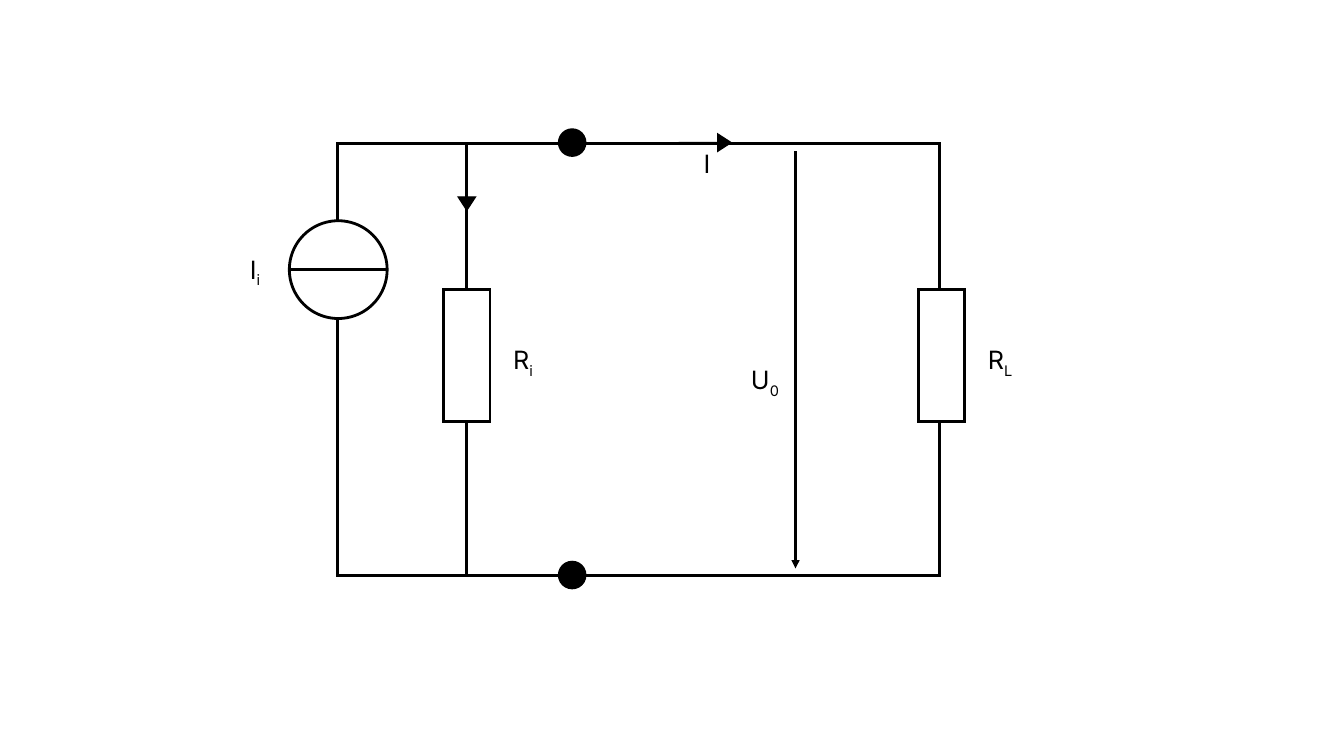
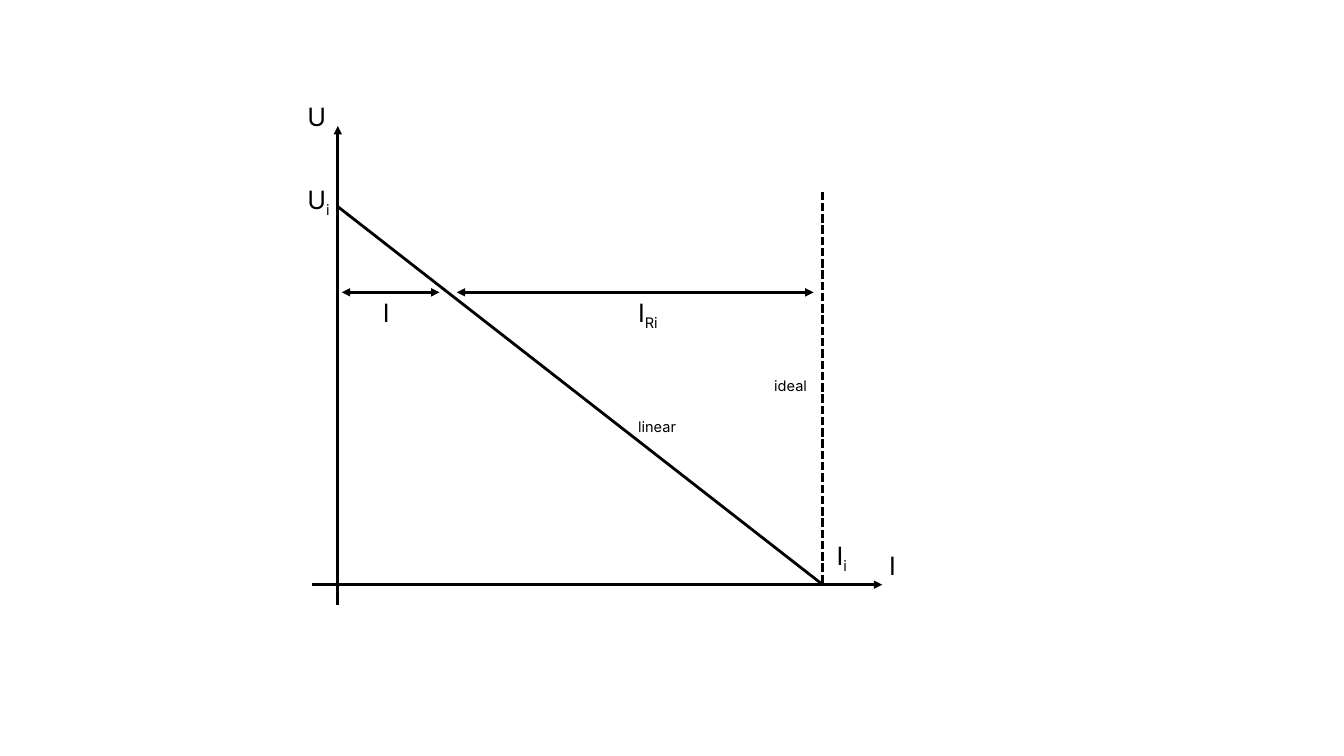
"""Draw a current source circuit and its load line."""
from lxml.etree import SubElement
from pptx import Presentation
from pptx.dml.color import RGBColor
from pptx.enum.dml import MSO_LINE
from pptx.enum.shapes import MSO_CONNECTOR, MSO_SHAPE
from pptx.enum.text import MSO_AUTO_SIZE
from pptx.oxml.ns import qn
from pptx.util import Inches, Pt

BLACK = RGBColor(0, 0, 0)
WHITE = RGBColor(255, 255, 255)
FONT = "Inter"
BODY = 18
LEFT, TOP, WIDE, HIGH = 3.35, 1.42, 5.97, 4.29
BOTTOM = TOP + HIGH
AXIS, BASE, LIMIT, LEVEL = 3.35, 5.8, 8.16, 2.9


def add_label(slide, text, x, y, width=0.52, height=0.4, size=BODY, color=BLACK):
    """Add a label; the part after an underscore is a subscript."""
    box = slide.shapes.add_textbox(Inches(x), Inches(y), Inches(width), Inches(height))
    frame = box.text_frame
    frame.word_wrap = True
    frame.auto_size = MSO_AUTO_SIZE.SHAPE_TO_FIT_TEXT
    main_part, _, sub = text.partition("_")
    for part, shift in ((main_part, None), (sub, "-25000")):
        if not part:
            continue
        run = frame.paragraphs[0].add_run()
        run.text = part
        run.font.name = FONT
        run.font.size = Pt(size)
        run.font.color.rgb = color
        if shift:
            run.font._element.set("baseline", shift)


def add_part(slide, kind, x, y, width, height, fill=WHITE, weight=2):
    """Add a filled shape with a black, sharp-cornered outline."""
    part = slide.shapes.add_shape(kind, Inches(x), Inches(y), Inches(width), Inches(height))
    part.shadow.inherit = False
    part.fill.solid()
    part.fill.fore_color.rgb = fill
    part.line.color.rgb = BLACK
    part.line.width = Pt(weight)
    SubElement(part.line._get_or_add_ln(), qn("a:miter"), lim="800000")
    return part


def add_wire(slide, start, end, heads=(), dash=None):
    """Add a straight line with optional arrowheads and dashes."""
    points = [Inches(value) for value in (*start, *end)]
    wire = slide.shapes.add_connector(MSO_CONNECTOR.STRAIGHT, *points)
    wire.line.color.rgb = BLACK
    wire.line.width = Pt(2)
    if dash:
        wire.line.dash_style = dash
    for head in heads:
        SubElement(wire.line._get_or_add_ln(), qn(f"a:{head}End"), type="triangle")
    SubElement(wire._element.spPr, qn("a:effectLst"))


def add_flow(slide, x, y, turn=0):
    """Add a current arrow that lies on a wire."""
    arrow = add_part(slide, MSO_SHAPE.RIGHT_ARROW, x, y, 0.52, 0.17, BLACK, 1)
    arrow.adjustments[0] = 0
    arrow.adjustments[1] = 0.77
    arrow.rotation = turn


def add_load(slide, text, x):
    """Add a resistor with its label on the right."""
    add_part(slide, MSO_SHAPE.RECTANGLE, x, 2.87, 0.46, 1.31)
    add_label(slide, text, x + 0.59, 3.37)


def draw_circuit(slide):
    """Draw the source, its inner resistor and the load."""
    add_part(slide, MSO_SHAPE.RECTANGLE, LEFT, TOP, WIDE, HIGH)
    add_part(slide, MSO_SHAPE.OVAL, 2.87, 2.19, 0.97, 0.97)
    add_wire(slide, (2.87, 2.67), (3.84, 2.67))
    add_label(slide, "I_i", 2.38, 2.47)
    for text, x in (("R_i", 4.4), ("R_L", 9.11)):
        add_load(slide, text, x)
    for start, end in ((TOP, 2.87), (4.18, BOTTOM)):
        add_wire(slide, (4.63, start), (4.63, end))
    add_flow(slide, 4.37, 1.74, 90)
    add_flow(slide, 6.73, 1.33)
    add_label(slide, "I", 6.88, 1.42)
    add_wire(slide, (7.89, 1.5), (7.89, 5.64), ("tail",))
    add_label(slide, "U_0", 7.35, 3.57)
    for y in (TOP, BOTTOM):
        add_part(slide, MSO_SHAPE.OVAL, 5.54, y - 0.14, 0.27, 0.27, BLACK, 1)


def draw_graph(slide):
    """Draw voltage over current for the real and the ideal source."""
    add_wire(slide, (AXIS, 1.25), (AXIS, 6), ("head",))
    add_wire(slide, (8.75, BASE), (3.09, BASE), ("head",))
    add_wire(slide, (AXIS, 2.05), (LIMIT, BASE))
    add_wire(slide, (LIMIT, 1.9), (LIMIT, BASE), dash=MSO_LINE.SQUARE_DOT)
    for right, left in ((4.36, 3.39), (8.07, 4.53)):
        add_wire(slide, (right, LEVEL), (left, LEVEL), ("head", "tail"))
    for text, x, y in (
        ("I", 8.72, 5.41), ("U", 2.95, 0.96), ("I_i", 8.2, 5.31), ("U_i", 2.95, 1.78),
    ):
        add_label(slide, text, x, y)
    for text, x in (("I_Ri", 6.23), ("I", 3.7)):
        add_label(slide, text, x, LEVEL, width=0.73)
    for text, x, y in (("_ideal", 7.58, 3.52), ("_linear", 6.23, 3.93)):
        add_label(slide, text, x, y, width=0.86, height=0.3)


def main():
    """Build and save both slides."""
    deck = Presentation()
    deck.slide_width = Inches(13.33)
    deck.slide_height = Inches(7.5)
    for draw in (draw_circuit, draw_graph):
        draw(deck.slides.add_slide(deck.slide_layouts[6]))
    deck.save("out.pptx")


main()
